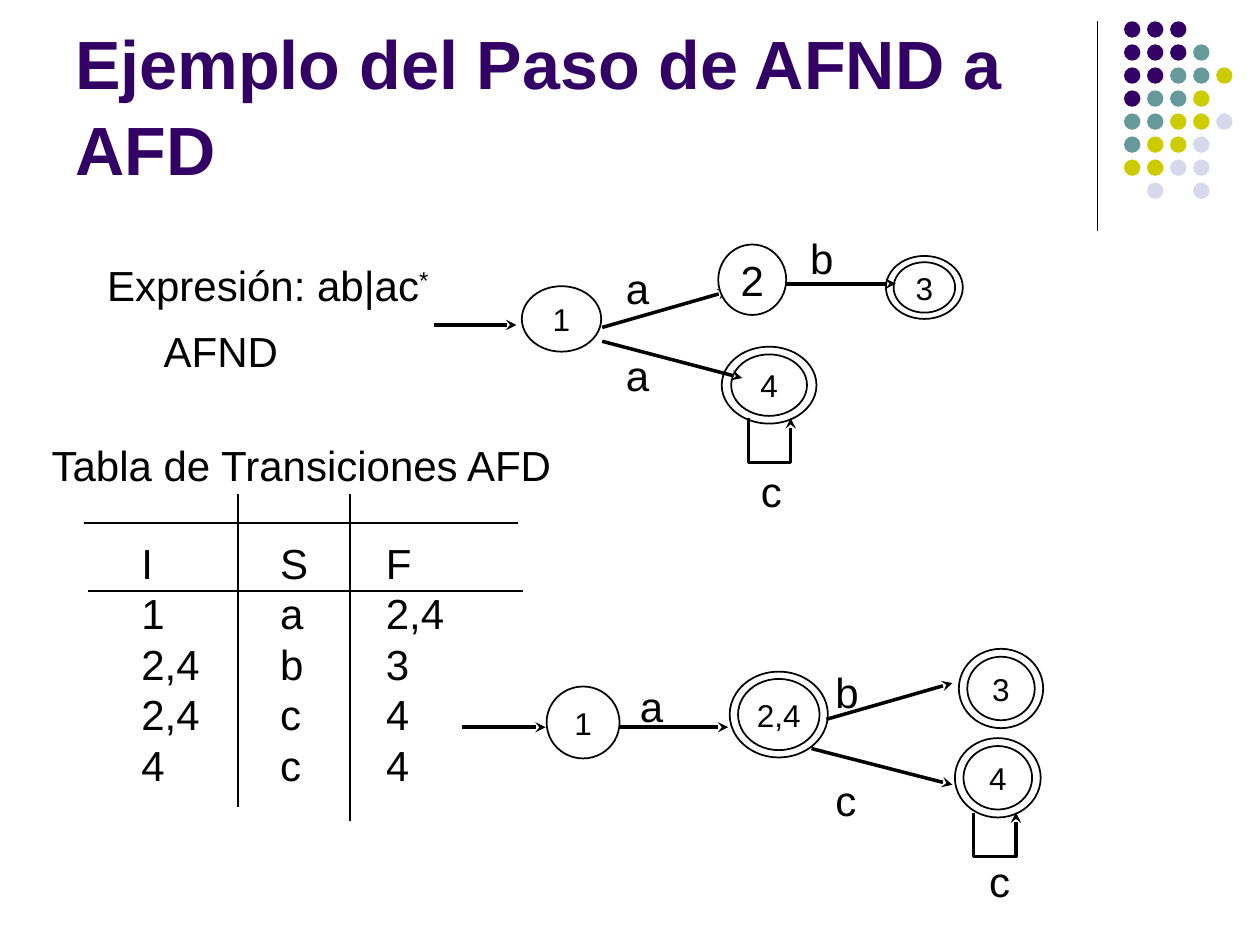
import pptx
import pptx.util
import pptx.dml.color
import pptx.enum.shapes
import pptx.enum.text
import pptx.oxml

Cm, Pt = pptx.util.Cm, pptx.util.Pt
RGBColor = pptx.dml.color.RGBColor
SHAPE = pptx.enum.shapes.MSO_SHAPE
ANCHOR = pptx.enum.text.MSO_ANCHOR
ALIGN = pptx.enum.text.PP_ALIGN
BLACK, WHITE = RGBColor(0, 0, 0), RGBColor(255, 255, 255)
PURPLE = RGBColor(0x33, 0x00, 0x66)
DOT_COLORS = {"P": PURPLE, "T": RGBColor(0x66, 0x99, 0x99),
              "Y": RGBColor(0xCC, 0xCC, 0x00), "L": RGBColor(0xD8, 0xD8, 0xEC)}

# Content; all positions in centimetres
TITLE = "Ejemplo del Paso de AFND a AFD"
DOT_ROWS = ["PPP", "PPPT", "PPTTY", "PTTY", "TTYYL", "TYYL", "YYLL", " L L"]
DOT_LEFT, DOT_TOP, DOT_SIZE, DOT_PITCH = 22.66, 0.43, 0.33, 3.25 / 7

HEADINGS = [  # text, superscript, left, top, width
    ("Expresión: ab|ac", "*", 1.91, 5.11, 7.09),
    ("AFND", "", 3.05, 6.43, 2.84),
    ("Tabla de Transiciones AFD", "", 0.79, 8.74, 10.69),
]
TRANSITIONS = [("I", "S", "F"), ("1", "a", "2,4"), ("2,4", "b", "3"),
               ("2,4", "c", "4"), ("4", "c", "4")]
COLUMN_WIDTHS, ROW_HEIGHT = (2.8, 2.13, 2.7), 1.02
TABLE_LEFT, TABLE_TOP = 2.85, 10.87
RULES = [(1.7, 10.54, 10.44, 10.54), (1.78, 11.91, 10.54, 11.91),
         (4.8, 9.96, 4.8, 16.26), (7.06, 9.96, 7.06, 16.56)]

FINAL_STATES = [  # name, left, top, width, height, inner ring scale
    ("3", 17.86, 5.16, 1.55, 1.27, 0.8), ("4", 14.55, 6.99, 1.91, 1.55, 0.8),
    ("3", 19.33, 13.08, 1.7, 1.6, 0.8), ("4", 19.25, 14.88, 1.73, 1.6, 0.8),
    ("2,4", 14.71, 13.54, 1.98, 1.73, 0.83),
]
STATES = [  # name, left, top, width, height, text size
    ("2", 14.48, 4.93, 1.37, 1.42, 24), ("1", 10.52, 5.77, 1.6, 1.32, 18),
    ("1", 11.02, 13.84, 1.47, 1.45, 18),
]
ARROWS = [
    (8.74, 6.55, 10.41, 6.55), (12.14, 6.6, 14.68, 5.87),
    (15.8, 5.72, 18.06, 5.72), (12.14, 6.88, 14.96, 7.62),
    (9.32, 14.66, 11, 14.66), (12.42, 14.66, 14.68, 14.66),
    (16.66, 14.5, 19.2, 13.77), (16.36, 15.09, 19.2, 15.82),
]
LOOPS, LOOP_WIDTH, LOOP_HEIGHT = [(15.09, 8.43), (19.63, 16.38)], 0.85, 0.89
SYMBOLS = [("a", 12.37, 5.16), ("b", 16.08, 4.57), ("a", 12.37, 6.93),
           ("c", 15.09, 9.25), ("a", 12.65, 13.59), ("b", 16.59, 13.31),
           ("c", 16.59, 15.49), ("c", 19.69, 17.12)]

presentation = pptx.Presentation()
presentation.slide_width, presentation.slide_height = Cm(25.4), Cm(19.05)
slide = presentation.slides.add_slide(presentation.slide_layouts[6])
shapes = slide.shapes


def write(frame, text, size=24, color=BLACK, bold=False, align=ALIGN.LEFT,
          anchor=ANCHOR.TOP, wrap=False, spacing=None, superscript=""):
    frame.word_wrap = wrap
    frame.vertical_anchor = anchor
    paragraph = frame.paragraphs[0]
    paragraph.alignment = align
    paragraph.line_spacing = spacing
    for part in filter(None, (text, superscript)):
        run = paragraph.add_run()
        run.text = part
        run.font.name, run.font.size = "Arial", Pt(size)
        run.font.bold, run.font.color.rgb = bold, color
    if superscript:
        run.font._element.set("baseline", "30000")


def add_text(text, left, top, width, height=1.3, **text_format):
    box = shapes.add_textbox(Cm(left), Cm(top), Cm(width), Cm(height))
    write(box.text_frame, text, **text_format)


def add_ellipse(left, top, width, height, fill=WHITE, outlined=True):
    shape = shapes.add_shape(SHAPE.OVAL, Cm(left), Cm(top), Cm(width), Cm(height))
    shape.shadow.inherit = False
    shape.fill.solid()
    shape.fill.fore_color.rgb = fill
    if outlined:
        shape.line.color.rgb, shape.line.width = BLACK, Pt(1)
    else:
        shape.line.fill.background()
    return shape


def add_arrowhead(shape):
    tail = pptx.oxml.parse_xml(
        '<a:tailEnd xmlns:a="http://schemas.openxmlformats.org/drawingml/2006/main" type="stealth"/>')
    shape.line._get_or_add_ln().append(tail)


def add_line(x1, y1, x2, y2, width=1, arrow=False):
    line = shapes.add_connector(pptx.enum.shapes.MSO_CONNECTOR.STRAIGHT,
                                Cm(x1), Cm(y1), Cm(x2), Cm(y2))
    line.line.color.rgb, line.line.width = BLACK, Pt(width)
    if arrow:
        add_arrowhead(line)
    line._element.spPr.append(pptx.oxml.parse_xml(
        '<a:effectLst xmlns:a="http://schemas.openxmlformats.org/drawingml/2006/main"/>'))


# Corner decoration and title
add_line(22.12, 0.43, 22.12, 4.65, width=0.75)
for row, codes in enumerate(DOT_ROWS):
    for column, code in enumerate(codes):
        if code in DOT_COLORS:
            add_ellipse(DOT_LEFT + column * DOT_PITCH, DOT_TOP + row * DOT_PITCH,
                        DOT_SIZE, DOT_SIZE, fill=DOT_COLORS[code], outlined=False)
add_text(TITLE, 1.27, 0.33, 20.96, 3.61, size=39, color=PURPLE, bold=True,
         anchor=ANCHOR.BOTTOM, wrap=True, spacing=1.05)
for text, superscript, left, top, width in HEADINGS:
    add_text(text, left, top, width, superscript=superscript)

# Transition table with its rules
table = shapes.add_table(len(TRANSITIONS), len(COLUMN_WIDTHS), Cm(TABLE_LEFT), Cm(TABLE_TOP),
                         Cm(sum(COLUMN_WIDTHS)), Cm(ROW_HEIGHT * len(TRANSITIONS))).table
table.first_row = table.horz_banding = False
for column, width in zip(table.columns, COLUMN_WIDTHS):
    column.width = Cm(width)
for row, values in zip(table.rows, TRANSITIONS):
    row.height = Cm(ROW_HEIGHT)
    for cell, value in zip(row.cells, values):
        cell.fill.background()
        cell.margin_left = cell.margin_right = cell.margin_top = cell.margin_bottom = 0
        cell.vertical_anchor = ANCHOR.MIDDLE
        write(cell.text_frame, value, wrap=True, anchor=None)
for rule in RULES:
    add_line(*rule)

# Automata: final states, transitions, loops, other states, symbols
for name, left, top, width, height, scale in FINAL_STATES:
    add_ellipse(left, top, width, height)
    margin = (1 - scale) / 2
    inner = add_ellipse(left + width * margin, top + height * margin,
                        width * scale, height * scale)
    write(inner.text_frame, name, size=18, align=ALIGN.CENTER, anchor=ANCHOR.MIDDLE)
for arrow in ARROWS:
    add_line(*arrow, width=2, arrow=True)
for left, top in LOOPS:
    right, bottom = left + LOOP_WIDTH, top + LOOP_HEIGHT
    builder = shapes.build_freeform(Cm(left), Cm(top))
    builder.add_line_segments([(Cm(left), Cm(bottom)), (Cm(right), Cm(bottom)),
                               (Cm(right), Cm(top))], close=False)
    loop = builder.convert_to_shape()
    loop.shadow.inherit = False
    loop.fill.background()
    loop.line.color.rgb, loop.line.width = BLACK, Pt(2)
    add_arrowhead(loop)
for name, left, top, width, height, size in STATES:
    state = add_ellipse(left, top, width, height)
    write(state.text_frame, name, size=size, align=ALIGN.CENTER, anchor=ANCHOR.MIDDLE)
for symbol, left, top in SYMBOLS:
    add_text(symbol, left, top, 0.99)

presentation.save("out.pptx")
